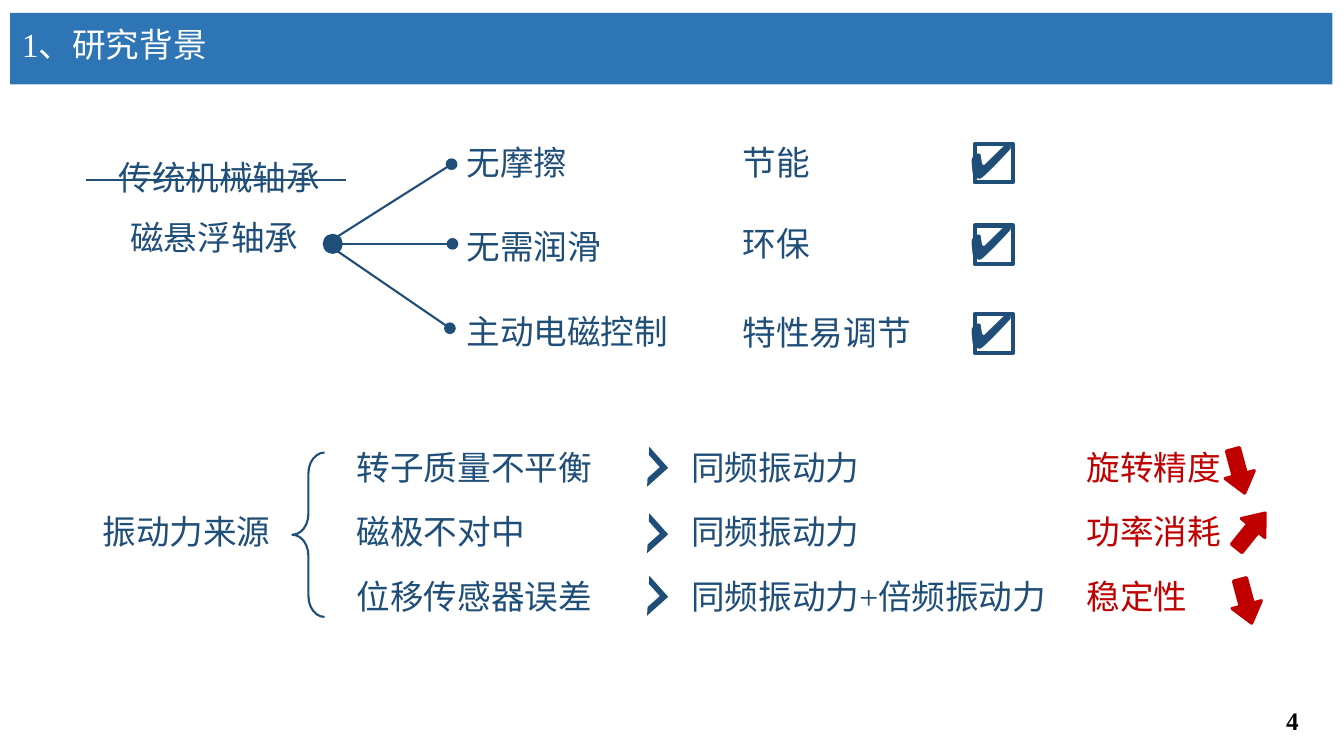
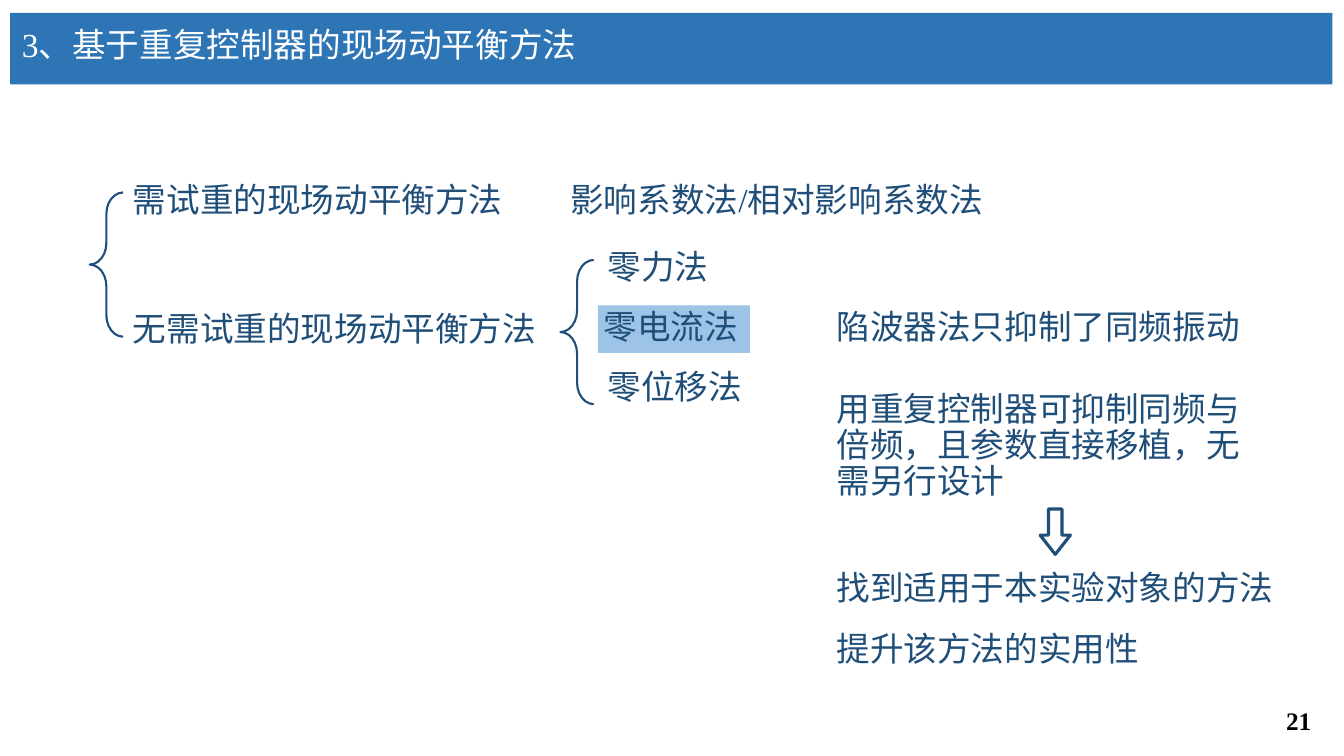
from pptx import Presentation
from pptx.dml.color import RGBColor
from pptx.enum.shapes import MSO_CONNECTOR, MSO_SHAPE
from pptx.enum.text import PP_ALIGN
from pptx.oxml.ns import qn
from pptx.util import Pt

NAVY, BLUE, PALE, RED = "1F4E79", "2E75B6", "9DC3E6", "C00000"
WHITE, BLACK = "FFFFFF", "000000"
ROW_H = 34
BODY = {"name": "Times New Roman", "size": Pt(24), "bold": False}
TICK = {**BODY, "size": Pt(36)}
NUMBER = {**BODY, "size": Pt(18), "bold": True}
LEFT = {"alignment": PP_ALIGN.LEFT, "line_spacing": 0.9}
CENTER = {**LEFT, "alignment": PP_ALIGN.CENTER}
SINGLE = {**LEFT, "line_spacing": 1.0}


def rgb(value):
    return RGBColor.from_string(value)


def set_all(target, values):
    for name, value in values.items():
        setattr(target, name, value)


def add_text(s, text, x, y, w, h=ROW_H, color=NAVY, font=BODY, para=LEFT):
    tf = s.shapes.add_textbox(Pt(x), Pt(y), Pt(w), Pt(h)).text_frame
    tf.word_wrap = True
    p = tf.paragraphs[0]
    set_all(p, para)
    r = p.add_run()
    r.text = text
    set_all(r.font, font)
    r.font.color.rgb = rgb(color)


def add_shape(s, kind, x, y, w, h, fill=None, line=None, width=1.5, adj=(), rotation=0):
    sp = s.shapes.add_shape(kind, Pt(x), Pt(y), Pt(w), Pt(h))
    sp.shadow.inherit = False
    sp.rotation = rotation
    for i, value in enumerate(adj):
        sp.adjustments[i] = value
    if fill:
        sp.fill.solid()
        sp.fill.fore_color.rgb = rgb(fill)
    else:
        sp.fill.background()
    if line:
        sp.line.color.rgb = rgb(line)
        sp.line.width = Pt(width)
    else:
        sp.line.fill.background()


def add_line(s, x1, y1, x2, y2):
    ln = s.shapes.add_connector(MSO_CONNECTOR.STRAIGHT, Pt(x1), Pt(y1), Pt(x2), Pt(y2))
    ln.line.color.rgb = rgb(NAVY)
    ln.line.width = Pt(1.5)
    sp_pr = ln._element.spPr
    sp_pr.append(sp_pr.makeelement(qn("a:effectLst"), {}))


def add_dot(s, cx, cy, d):
    add_shape(s, MSO_SHAPE.OVAL, cx - d / 2, cy - d / 2, d, d, NAVY)


def add_brace(s, x, y, w, h):
    add_shape(s, MSO_SHAPE.LEFT_BRACE, x, y, w, h, line=NAVY, adj=(0.648, 0.5))


def add_arrow(s, x, y, color, fill=None, rotation=0):
    add_shape(s, MSO_SHAPE.DOWN_ARROW, x, y, 21.6, 32.4, fill, color, 2.25,
              (0.446, 0.636), rotation)


def add_tick(s, x, y):
    add_shape(s, MSO_SHAPE.RECTANGLE, x, y, 27.4, 27.4, line=NAVY, width=3)
    add_text(s, "✔", x - 10.8, y - 15.1, 60, 51, font=TICK, para=SINGLE)


def new_slide(prs, title, number):
    s = prs.slides.add_slide(prs.slide_layouts[6])
    add_shape(s, MSO_SHAPE.RECTANGLE, 7.2, 9.2, 944.6, 51.2, BLUE)
    add_text(s, title, 8.6, 16.6, 600, color=WHITE)
    add_text(s, str(number), 911.5, 500.4, 36.7, 28.8, BLACK, NUMBER, SINGLE)
    return s


def bearing_advantages(s, x, y):
    add_text(s, "传统机械轴承", x + 14.4, y + 10.8, 162, para=CENTER)
    add_text(s, "磁悬浮轴承", x + 10.8, y + 54, 162, para=CENTER)
    add_line(s, x, y + 28, x + 186, y + 28)

    hub_x, hub_y = x + 176.5, y + 73.4
    rows = [
        ("无摩擦", 0, "节能", 0, (261.4, 16.5), (3, -5)),
        ("无需润滑", 60.5, "环保", 58.3, (262, 73.4), (4, 0)),
        ("主动电磁控制", 121, "特性易调节", 121.7, (260.2, 133.7), (3, 5)),
    ]
    for feature, feature_y, benefit, benefit_y, (dot_x, dot_y), (dx, dy) in rows:
        add_line(s, hub_x + dx, hub_y + dy, x + dot_x, y + dot_y)
        add_dot(s, x + dot_x, y + dot_y, 8.4)
        add_text(s, feature, x + 265, y + feature_y, 170)
        add_text(s, benefit, x + 462.2, y + benefit_y, 162)
        add_tick(s, x + 635, y + benefit_y + 2)
    add_dot(s, hub_x, hub_y, 14.4)


def vibration_sources(s, x, y):
    add_text(s, "振动力来源", x, y + 45.4, 142.6)
    add_brace(s, x + 142.6, y + 4.3, 23, 117.4)
    rows = [
        ("转子质量不平衡", "同频振动力", "旋转精度", 4.3, (807.9, 1.4, 345)),
        ("磁极不对中", "同频振动力", "功率消耗", 51.8, (816.5, 43.9, 218.8)),
        ("位移传感器误差", "同频振动力+倍频振动力", "稳定性", 96.4, (812.9, 94.3, 345)),
    ]
    for i, (cause, force, effect, mark_y, (arrow_x, arrow_y, turn)) in enumerate(rows):
        row_y = y + 46 * i
        add_text(s, cause, x + 181.5, row_y, 206)
        add_shape(s, MSO_SHAPE.HALF_FRAME, x + 386.7, y + mark_y, 20.2, 20.2, NAVY,
                  adj=(0.217, 0.203), rotation=138.2)
        add_text(s, force, x + 420.5, row_y, 288)
        add_text(s, effect, x + 702.8, row_y, 124.6, color=RED)
        add_arrow(s, x + arrow_x, y + arrow_y, RED, RED, turn)


def method_tree(s, x, y):
    add_brace(s, x, y + 10.1, 23.8, 103)
    add_text(s, "需试重的现场动平衡方法", x + 23.8, y, 337)
    add_text(s, "无需试重的现场动平衡方法", x + 23.8, y + 92.2, 337)
    add_text(s, "影响系数法/相对影响系数法", x + 336.2, y, 337)

    add_brace(s, x + 336.2, y + 58.3, 23.8, 103)
    add_shape(s, MSO_SHAPE.RECTANGLE, x + 362.9, y + 90.7, 108.7, ROW_H, PALE)
    methods = [("零力法", 362.9), ("零电流法", 360), ("零位移法", 362.9)]
    for i, (method, dx) in enumerate(methods):
        add_text(s, method, x + dx, y + 48 + 43 * i, 122.4)


def method_choice(s, x, y):
    add_text(s, "陷波器法只抑制了同频振动", x, y, 306)
    add_text(s, "用重复控制器可抑制同频与倍频，且参数直接移植，无需另行设计",
             x, y + 58.3, 306, 94.3)
    add_arrow(s, x + 152.6, y + 145.4, NAVY)
    for i, goal in enumerate(["找到适用于本实验对象的方法", "提升该方法的实用性"]):
        add_text(s, goal, x, y + 186.5 + 43.2 * i, 348.5)


def main():
    prs = Presentation()
    prs.slide_width, prs.slide_height = Pt(960), Pt(540)

    s = new_slide(prs, "1、研究背景", 4)
    bearing_advantages(s, 61.2, 100.8)
    vibration_sources(s, 66.2, 319)

    s = new_slide(prs, "3、基于重复控制器的现场动平衡方法", 21)
    method_tree(s, 64.1, 127.4)
    method_choice(s, 590.4, 218.2)

    prs.save("out.pptx")


if __name__ == "__main__":
    main()
